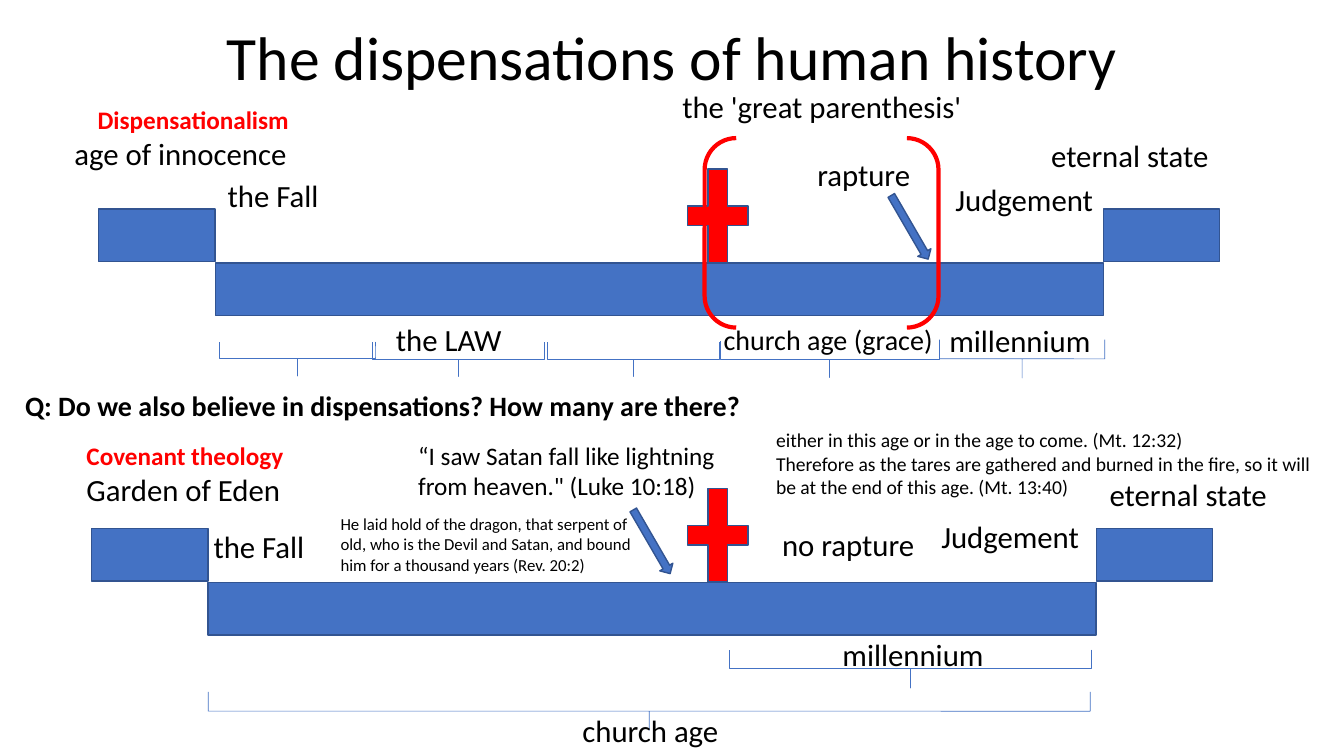
from pptx import Presentation
from pptx.dml.color import RGBColor
from pptx.enum.shapes import MSO_SHAPE as Shape
from pptx.enum.text import MSO_ANCHOR as Anchor, MSO_AUTO_SIZE as AutoSize, PP_ALIGN as Align
from pptx.util import Inches, Pt

COLORS = {"black": "000000", "red": "FF0000", "blue": "4472C4", "outline": "325491"}
FONT = "Calibri"
CELL = 0.1  # inches per grid column and row
COLUMNS, ROWS = 133.33, 75


def grid(*cells):
    return [Inches(cell * CELL) for cell in cells]


def color(name):
    return RGBColor.from_string(COLORS[name])


class DispensationSlide:
    """Draws on one slide; all lengths are grid columns and rows."""

    def __init__(self, presentation):
        self.slide = presentation.slides.add_slide(presentation.slide_layouts[5])
        self.shapes = self.slide.shapes

    def style(self, paragraph, size, ink="black", bold=False):
        font = paragraph.font
        font.name, font.size, font.bold = FONT, Pt(size), bold
        font.color.rgb = color(ink)

    def title(self, text, left, top, width, height):
        title = self.shapes.title
        title.left, title.top, title.width, title.height = grid(left, top, width, height)
        frame = title.text_frame
        frame.text = text
        frame.auto_size = AutoSize.NONE
        frame.vertical_anchor = Anchor.MIDDLE
        paragraph = frame.paragraphs[0]
        paragraph.alignment, paragraph.line_spacing = Align.CENTER, 0.9
        self.style(paragraph, 44)

    def text(self, text, left, top, width=24.3, size=22, lines=1, ink="black",
             bold=False, wrap=True):
        height = lines * size / 6 + 1
        frame = self.shapes.add_textbox(*grid(left, top, width, height)).text_frame
        frame.word_wrap = wrap
        frame.text = text
        for paragraph in frame.paragraphs:
            self.style(paragraph, size, ink, bold)

    def shape(self, kind, left, top, width, height, fill="blue", line="outline",
              weight=1, rotation=0):
        shape = self.shapes.add_shape(kind, *grid(left, top, width, height))
        shape.shadow.inherit = False
        shape.rotation = rotation
        if fill:
            shape.fill.solid()
            shape.fill.fore_color.rgb = color(fill)
        else:
            shape.fill.background()
        shape.line.color.rgb = color(line)
        shape.line.width = Pt(weight)
        return shape

    def timeline(self, left, top):
        """Two raised ages at the ends, the long bar below, and the cross."""
        age_width, bar_width, height = 11.55, 88.1, 5.2
        bar_left = left + age_width
        self.shape(Shape.RECTANGLE, bar_left, top + 5.35, bar_width, height)
        for age_left in (left, bar_left + bar_width):
            self.shape(Shape.RECTANGLE, age_left, top, age_width, height)
        self.shape(Shape.MATH_PLUS, 67.1, top - 5.65, 8.2, 12.6, fill="red")

    def brace(self, left, top, width, height):
        """A right brace turned to open upwards, given by its turned frame."""
        shift = (width - height) / 2
        brace = self.shape(Shape.RIGHT_BRACE, left + shift, top - shift, height, width,
                           fill=None, line="blue", weight=0.5, rotation=90)
        brace.adjustments[0], brace.adjustments[1] = 0, 0.5

    def arrow(self, left, top):
        self.shape(Shape.RIGHT_ARROW, left, top, 7.3, 1.5, rotation=59.9)


def main():
    presentation = Presentation()
    presentation.slide_width, presentation.slide_height = grid(COLUMNS, ROWS)
    page = DispensationSlide(presentation)
    page.title("The dispensations of human history", 9.2, 2.1, 115, 7.8)

    # Timelines
    page.timeline(9.8, 20.75)
    page.timeline(9.1, 52.45)

    # Braces marking the ages
    for left, top, width, height in (
        (21.8, 33.9, 15.4, 3.4),
        (36.95, 33.95, 17.1, 3.4),
        (54.25, 33.95, 17.1, 3.4),
        (71.45, 33.85, 21.7, 3.6),
        (93.2, 33.7, 16.4, 3.8),
        (72.35, 64.45, 35.9, 3.8),
        (20.65, 68.65, 87.5, 3.8),
    ):
        page.brace(left, top, width, height)

    # Event and age labels
    for label, left, top in (
        ("age of innocence", 6.4, 12.9),
        ("the Fall", 21.6, 17),
        ("rapture", 80.1, 15),
        ("Judgement", 93.8, 17.4),
        ("eternal state", 103.3, 13.1),
        ("the LAW", 38.3, 31.3),
        ("millennium", 93.2, 31.4),
        ("Garden of Eden", 7.6, 46.2),
        ("the Fall", 20.2, 51.9),
        ("no rapture", 76.6, 51.7),
        ("Judgement", 92.4, 50.9),
        ("eternal state", 109.1, 46.7),
        ("millennium", 82.6, 62.6),
        ("church age", 56.8, 70.1),
    ):
        page.text(label, left, top)
    page.text("church age (grace)", 70.8, 31.5, size=20)

    # Headings and question
    page.text("Dispensationalism", 8.7, 9.9, 29.3, 18, ink="red", bold=True)
    page.text("Covenant theology", 7.6, 43.2, 29.3, 18, ink="red", bold=True)
    page.text("Q: Do we also believe in dispensations? How many are there?",
              1.5, 38, 73, 20, bold=True, wrap=False)

    # Scripture quotations
    page.text("“I saw Satan fall like lightning from heaven.\" (Luke 10:18)",
              40.5, 43.2, 35, 18, lines=2)
    page.text("He laid hold of the dragon, that serpent of old, who is the Devil and Satan, "
              "and bound him for a thousand years (Rev. 20:2)",
              32.8, 50.5, 33.1, 12, lines=3)
    page.text("either in this age or in the age to come. (Mt. 12:32)\n"
              "Therefore as the tares are gathered and burned in the fire, so it will be "
              "at the end of this age. (Mt. 13:40)",
              76, 42, 55.9, 14, lines=3)

    # Arrows and the great parenthesis
    page.arrow(86.6, 21.8)
    page.arrow(61, 53)
    page.shape(Shape.DOUBLE_BRACKET, 69.9, 13.7, 23.2, 18.8,
               fill=None, line="red", weight=3)
    page.text("the 'great parenthesis'", 66.7, 8.2, 30.8)

    presentation.save("out.pptx")


if __name__ == "__main__":
    main()
